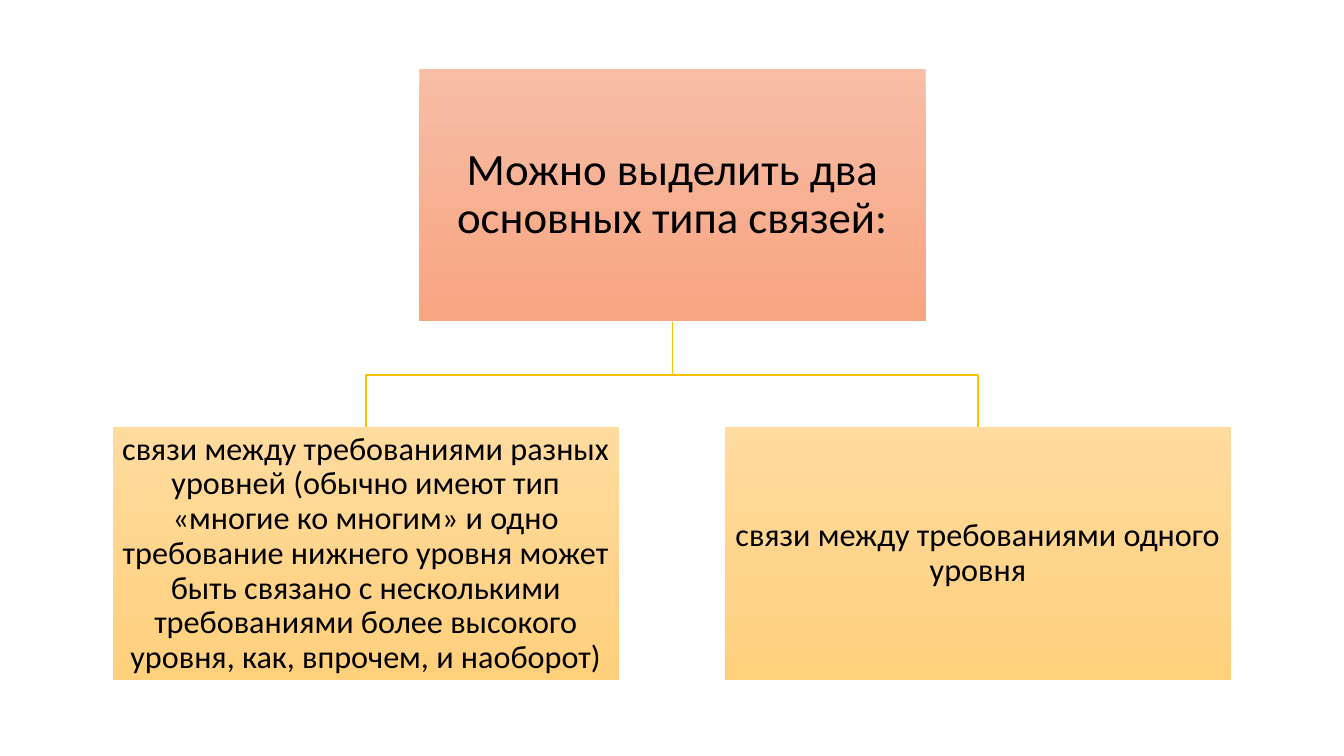
from pptx import Presentation
from pptx.dml.color import RGBColor
from pptx.enum.shapes import MSO_SHAPE as Shape
from pptx.enum.text import MSO_ANCHOR as Anchor, PP_ALIGN as Align
from pptx.util import Pt

EMU_PER_PX = 9144  # 100 px to the inch
PAGE_WIDTH, PAGE_HEIGHT = 1333, 750
BLANK_LAYOUT = 6

BLACK = RGBColor(0x00, 0x00, 0x00)
GOLD = RGBColor(0xFF, 0xC0, 0x00)
CORAL_FADE = RGBColor(0xF7, 0xBD, 0xA5), RGBColor(0xF8, 0xA5, 0x82)
AMBER_FADE = RGBColor(0xFF, 0xDB, 0x9E), RGBColor(0xFF, 0xD0, 0x7C)

BOX_WIDTH, BOX_HEIGHT, GAP = 502, 251, 105
ROOT_LEFT, ROOT_TOP = 416, 68
PITCH = BOX_WIDTH + GAP
BRANCH_TOP = ROOT_TOP + BOX_HEIGHT + GAP
FIRST_BRANCH_LEFT = ROOT_LEFT - PITCH // 2 - 1

ROOT_TEXT = "Можно выделить два основных типа связей:"
BRANCH_TEXTS = [
    "связи между требованиями разных уровней (обычно имеют тип "
    "«многие ко многим» и одно требование нижнего уровня может быть "
    "связано с несколькими требованиями более высокого уровня, как, "
    "впрочем, и наоборот)",
    "связи между требованиями одного уровня",
]


def px(length):
    return round(length * EMU_PER_PX)


class TreePage:
    font_name = "Calibri"
    inset = 2

    def __init__(self, deck):
        self.page = deck.slides.add_slide(deck.slide_layouts[BLANK_LAYOUT])

    def box(self, left, top, text, size, fade):
        """Add a box whose fill fades from the first colour down to the second."""
        box = self.page.shapes.add_shape(
            Shape.RECTANGLE, px(left), px(top), px(BOX_WIDTH), px(BOX_HEIGHT))
        box.shadow.inherit = False
        box.line.fill.background()
        box.fill.gradient()
        box.fill.gradient_angle = 270
        for stop, colour in zip(box.fill.gradient_stops, fade):
            stop.color.rgb = colour

        frame = box.text_frame
        frame.word_wrap = True
        frame.vertical_anchor = Anchor.MIDDLE
        frame.margin_left = frame.margin_right = px(self.inset)
        frame.margin_top = frame.margin_bottom = px(self.inset)
        frame.text = text
        para = frame.paragraphs[0]
        para.alignment = Align.CENTER
        para.line_spacing = 0.9
        font = para.runs[0].font
        font.name, font.size = self.font_name, Pt(size)
        font.color.rgb = BLACK

    def branch_line(self, start_x, start_y, end_x, end_y):
        """Draw a line that runs down, across at half height, and down again."""
        middle_y = (start_y + end_y) / 2
        builder = self.page.shapes.build_freeform(start_x, start_y, EMU_PER_PX)
        builder.add_line_segments(
            [(start_x, middle_y), (end_x, middle_y), (end_x, end_y)], close=False)
        line = builder.convert_to_shape()
        line.shadow.inherit = False
        line.fill.background()
        line.line.color.rgb = GOLD
        line.line.width = Pt(1)


def main():
    deck = Presentation()
    deck.slide_width, deck.slide_height = px(PAGE_WIDTH), px(PAGE_HEIGHT)
    tree = TreePage(deck)

    half_width = BOX_WIDTH // 2
    branch_lefts = [FIRST_BRANCH_LEFT + i * PITCH for i in range(len(BRANCH_TEXTS))]
    for left in branch_lefts:
        tree.branch_line(ROOT_LEFT + half_width, ROOT_TOP + BOX_HEIGHT,
                         left + half_width, BRANCH_TOP)
    tree.box(ROOT_LEFT, ROOT_TOP, ROOT_TEXT, 32, CORAL_FADE)
    for left, text in zip(branch_lefts, BRANCH_TEXTS):
        tree.box(left, BRANCH_TOP, text, 23, AMBER_FADE)

    deck.save("out.pptx")


if __name__ == "__main__":
    main()
